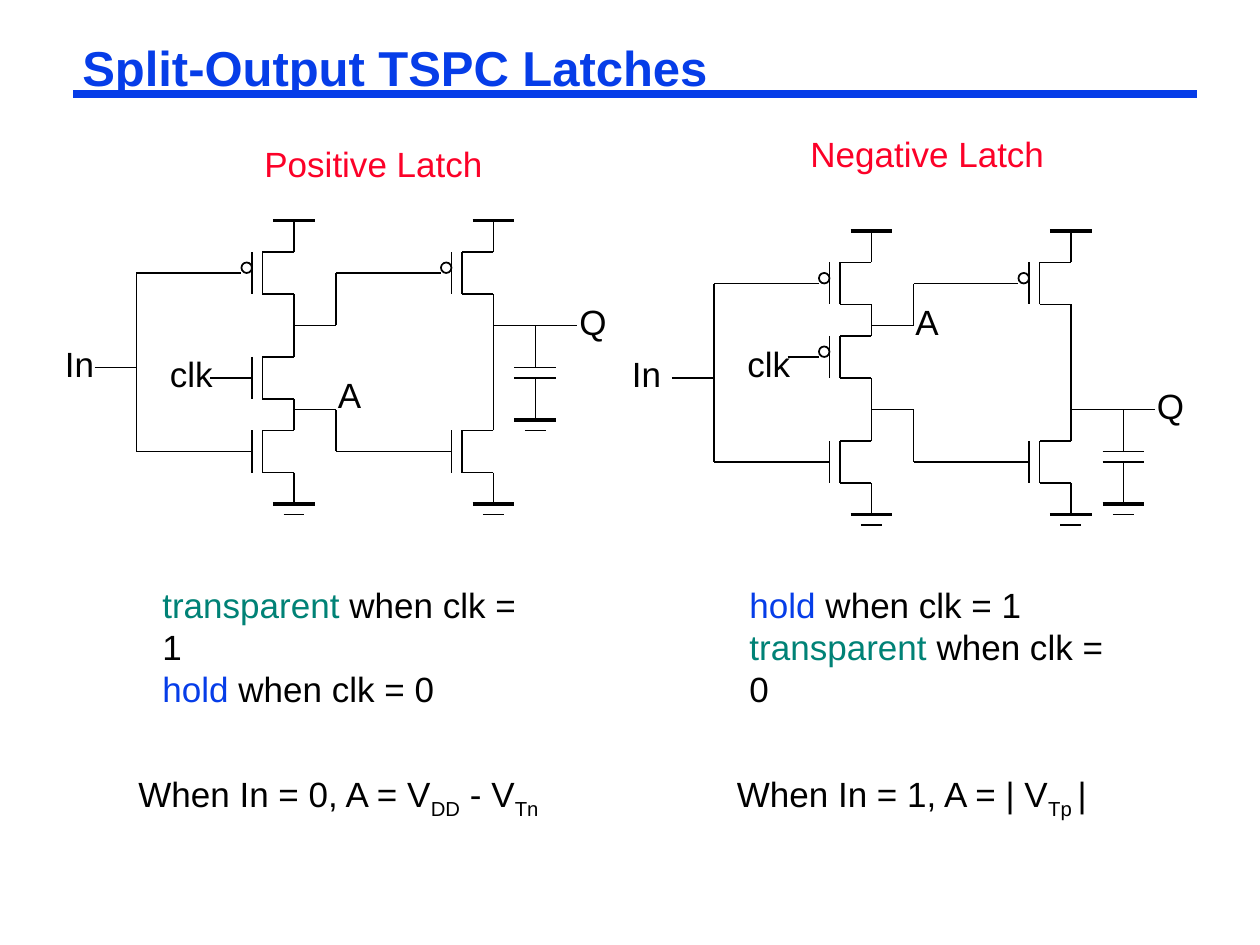
"""Build a slide comparing the positive and negative split-output TSPC latches."""
from dataclasses import dataclass

from lxml import etree
from pptx import Presentation
from pptx.dml.color import RGBColor
from pptx.enum.shapes import MSO_CONNECTOR, MSO_SHAPE
from pptx.enum.text import MSO_ANCHOR, PP_ALIGN
from pptx.oxml.ns import qn
from pptx.util import Cm, Pt

STRAIGHT = MSO_CONNECTOR.STRAIGHT
OVAL = MSO_SHAPE.OVAL
LEFT = PP_ALIGN.LEFT
MIDDLE = MSO_ANCHOR.MIDDLE
GRID = 2.54 / 12


@dataclass(frozen=True)
class Theme:
    font: str = "Arial"
    ink: RGBColor = RGBColor(0x00, 0x00, 0x00)
    blue: RGBColor = RGBColor(0x06, 0x3D, 0xE8)
    red: RGBColor = RGBColor(0xFC, 0x01, 0x28)
    green: RGBColor = RGBColor(0x00, 0x82, 0x76)
    title_size: Pt = Pt(28)
    body_size: Pt = Pt(20)
    wire: Pt = Pt(1)
    rail: Pt = Pt(2.25)
    rule: Pt = Pt(4.5)


THEME = Theme()
TITLE = "Split-Output TSPC Latches"
STAGE = 19
SUPPLY, GROUND = 0, 27
UPPER_GATE, LOWER_GATE = 5, 22
TRANSPARENT = ("transparent", THEME.green)
HOLD = ("hold", THEME.blue)

LATCHES = [
    {
        "origin": (28, 21),
        "heading": ("Positive Latch", -4, -8, 5.3),
        "labels": [("clk", -13, 12, 1.4), ("In", -23, 11, 1.12),
                   ("Q", 26, 7, 1.1), ("A", 3, 14, 1.02)],
        "clocked": {"kind": "n", "top": 10, "tail": False},
        "first_tail": True,
        "nodes": (10, 18),
        "output": 10,
        "capacitor": 23,
        "behaviour": ([(TRANSPARENT, " when clk = 1"), (HOLD, " when clk = 0")], -13.72, 34),
        "formula": ([("When In = 0, A = V", False), ("DD", True), (" - V", False),
                     ("Tn", True)], -16, 52, 8.9),
    },
    {
        "origin": (83, 22),
        "heading": ("Negative Latch", -7, -10, 5.6),
        "labels": [("clk", -13, 10, 1.4), ("In", -24, 11, 1.12),
                   ("Q", 26, 14, 1.1), ("A", 3, 6, 1.02)],
        "clocked": {"kind": "p", "top": 7, "tail": True},
        "first_tail": False,
        "nodes": (9, 17),
        "output": 17,
        "capacitor": 24,
        "behaviour": ([(HOLD, " when clk = 1"), (TRANSPARENT, " when clk = 0")], -12.8, 33),
        "formula": ([("When In = 1, A = | V", False), ("Tp ", True), ("|", False)],
                    -14, 51, 7.9),
    },
]


def add_line(shapes, start, end, color=THEME.ink, width=THEME.wire):
    connector = shapes.add_connector(STRAIGHT, *(Cm(value) for value in (*start, *end)))
    connector.line.color.rgb = color
    connector.line.width = width
    etree.SubElement(connector._element.spPr, qn("a:effectLst"))


def style(font, color, size=THEME.body_size):
    font.name = THEME.font
    font.size = size
    font.color.rgb = color


class LatchDrawing:
    """Draws one latch on a grid whose origin is the first supply point."""

    def __init__(self, slide, latch):
        self.slide = slide
        self.latch = latch

    def place(self, x, y):
        left, top = self.latch["origin"]
        return (left + x) * GRID, (top + y) * GRID

    def path_lines(self, shapes, *points, width=THEME.wire):
        for start, end in zip(points, points[1:]):
            add_line(shapes, self.place(*start), self.place(*end), width=width)

    def wire(self, *points):
        self.path_lines(self.slide.shapes, *points)

    def bar(self, shapes, x, y):
        self.path_lines(shapes, (x - 2, y), (x + 2, y), width=THEME.rail)

    def ground(self, shapes, x, y):
        self.bar(shapes, x, y)
        self.path_lines(shapes, (x - 1, y + 1), (x + 1, y + 1))

    def transistor(self, kind, x, top, tail=True):
        shapes = self.slide.shapes.add_group_shape().shapes
        channel = [(x, top), (x, top + 3), (x - 3, top + 3), (x - 3, top + 7), (x, top + 7)]
        self.path_lines(shapes, *channel, *([(x, top + 10)] if tail else []))
        self.path_lines(shapes, (x - 4, top + 3), (x - 4, top + 7))
        gate_end = x - 5 if kind == "p" else x - 4
        self.path_lines(shapes, (x - 8, top + 5), (gate_end, top + 5))
        if kind == "p":
            left, upper = self.place(x - 5, top + 4)
            bubble = shapes.add_shape(OVAL, Cm(left), Cm(upper), Cm(GRID), Cm(GRID))
            bubble.shadow.inherit = False
            bubble.fill.background()
            bubble.line.color.rgb = THEME.ink
            bubble.line.width = THEME.wire

    def capacitor(self, x, y):
        shapes = self.slide.shapes.add_group_shape().shapes
        for start in (y, y + 5):
            self.path_lines(shapes, (x, start), (x, start + 4))
        for plate in (y + 4, y + 5):
            self.path_lines(shapes, (x - 2, plate), (x + 2, plate))
        self.ground(shapes, x, y + 9)

    def text_frame(self, x, y, width, height=1.09, wrap=False):
        left, top = self.place(x, y)
        box = self.slide.shapes.add_textbox(Cm(left), Cm(top), Cm(width), Cm(height))
        box.text_frame.word_wrap = wrap
        return box.text_frame

    def label(self, text, x, y, width, color=THEME.ink):
        paragraph = self.text_frame(x, y, width).paragraphs[0]
        paragraph.text = text
        style(paragraph.font, color)

    def circuit(self):
        latch = self.latch
        self.transistor("p", 0, SUPPLY, latch["first_tail"])
        self.transistor(x=0, **latch["clocked"])
        self.transistor("n", 0, 17)
        self.transistor("p", STAGE, SUPPLY)
        self.transistor("n", STAGE, 17)
        for x in (0, STAGE):
            self.bar(self.slide.shapes, x, SUPPLY)
            self.ground(self.slide.shapes.add_group_shape().shapes, x, GROUND)
        self.wire((-7, UPPER_GATE), (-15, UPPER_GATE), (-15, LOWER_GATE), (-7, LOWER_GATE))
        self.wire((-19, 14), (-15, 14))
        for node, gate in zip(latch["nodes"], (UPPER_GATE, LOWER_GATE)):
            self.wire((0, node), (4, node), (4, gate), (12, gate))
        self.wire((STAGE, 10), (STAGE, 17))
        self.wire((STAGE, latch["output"]), (STAGE + 8, latch["output"]))
        self.capacitor(latch["capacitor"], latch["output"])

    def captions(self):
        self.label(*self.latch["heading"], color=THEME.red)
        for label in self.latch["labels"]:
            self.label(*label)
        lines, x, y = self.latch["behaviour"]
        frame = self.text_frame(x, y, 7.9, 1.96, wrap=True)
        for index, ((state, color), condition) in enumerate(lines):
            paragraph = frame.add_paragraph() if index else frame.paragraphs[0]
            for text, run_color in ((state, color), (condition, THEME.ink)):
                run = paragraph.add_run()
                run.text = text
                style(run.font, run_color)
        parts, x, y, width = self.latch["formula"]
        paragraph = self.text_frame(x, y, width).paragraphs[0]
        style(paragraph.font, THEME.ink)
        for text, subscript in parts:
            run = paragraph.add_run()
            run.text = text
            if subscript:
                run._r.get_or_add_rPr().set("baseline", "-25000")


def add_title(slide):
    add_line(slide.shapes, (1.48, 1.9), (24.13, 1.9), THEME.blue, THEME.rule)
    title = slide.shapes.title
    title.left, title.top, title.width, title.height = Cm(1.48), Cm(0.84), Cm(22.65), Cm(1.17)
    frame = title.text_frame
    frame.margin_left = frame.margin_right = Cm(0.18)
    frame.margin_top = frame.margin_bottom = Cm(0.08)
    frame.vertical_anchor = MIDDLE
    paragraph = frame.paragraphs[0]
    paragraph.text = TITLE
    paragraph.alignment = LEFT
    paragraph.line_spacing = 0.87
    style(paragraph.font, THEME.blue, THEME.title_size)
    paragraph.font.bold = True


def main():
    presentation = Presentation()
    presentation.slide_width, presentation.slide_height = Cm(25.4), Cm(19.05)
    slide = presentation.slides.add_slide(presentation.slide_layouts[5])
    add_title(slide)
    for latch in LATCHES:
        drawing = LatchDrawing(slide, latch)
        drawing.circuit()
        drawing.captions()
    presentation.save("out.pptx")


if __name__ == "__main__":
    main()
